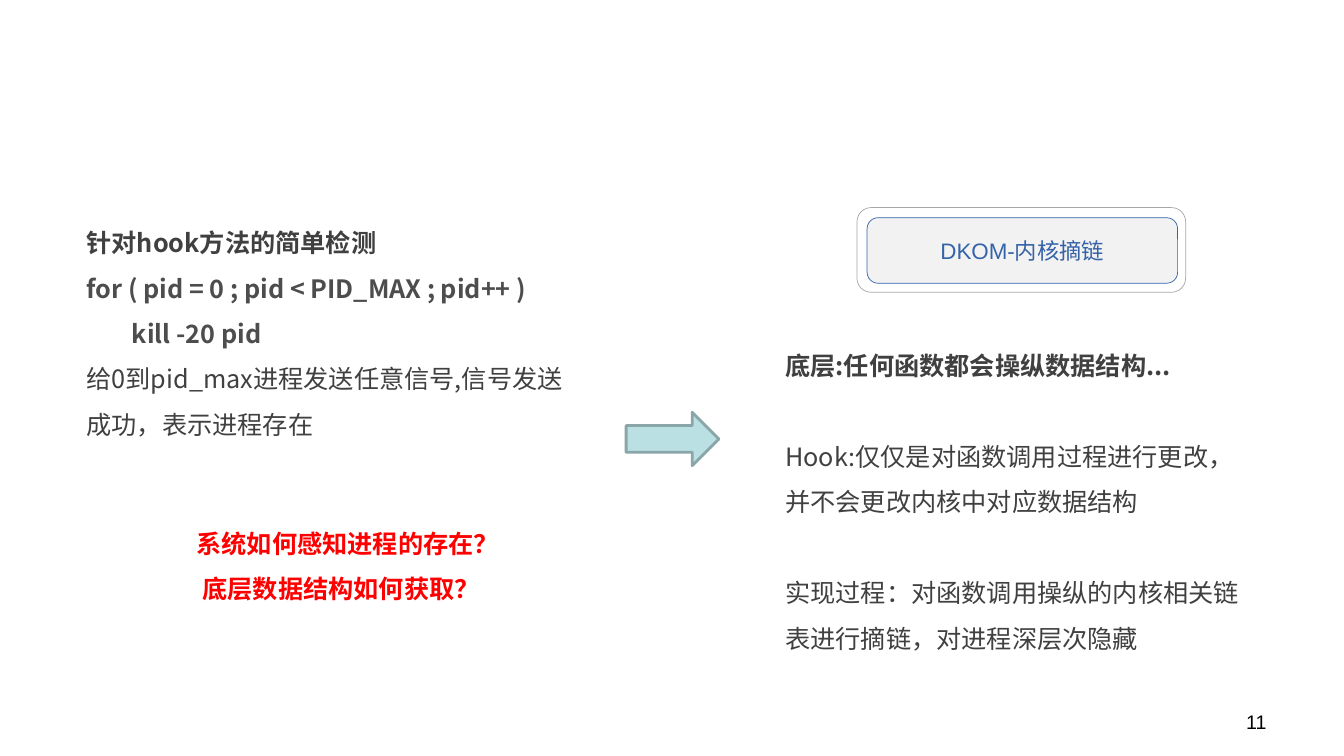
from pptx import Presentation
from pptx.dml.color import RGBColor
from pptx.enum.shapes import MSO_SHAPE as Shape
from pptx.enum.text import MSO_ANCHOR as Anchor, PP_ALIGN as Align
from pptx.oxml.ns import qn
from pptx.util import Inches, Pt

CJK = "Noto Sans CJK SC"
DARK = "404040"
CODE = "4D4D4D"
RED = "FF0000"
BLUE = "3563A8"


def color(value):
    return RGBColor.from_string(value)


class SlideBuilder:
    def __init__(self, slide):
        self.slide = slide

    def fill_paragraph(self, paragraph, text, size=18, font=CJK, fill=DARK, bold=False):
        paragraph.text = text
        for run in paragraph.runs:
            run.font.size = Pt(size)
            run.font.name = font
            run.font.bold = bold
            run.font.color.rgb = color(fill)
            latin = run._r.rPr.find(qn("a:latin"))
            latin.addnext(latin.makeelement(qn("a:ea"), {"typeface": CJK}))

    def text(self, left, top, width, height, lines, spacing=1.5, align=Align.LEFT):
        box = self.slide.shapes.add_textbox(
            Inches(left), Inches(top), Inches(width), Inches(height))
        frame = box.text_frame
        frame.word_wrap = True
        for index, (text, style, indent, before) in enumerate(lines):
            paragraph = frame.add_paragraph() if index else frame.paragraphs[0]
            paragraph.line_spacing = spacing
            paragraph.alignment = align
            paragraph.space_before = Pt(before)
            self.fill_paragraph(paragraph, text, **style)
            if indent:
                paragraph._p.get_or_add_pPr().set("marL", str(Inches(indent)))

    def shape(self, kind, left, top, width, height, line, weight, fill=None):
        shape = self.slide.shapes.add_shape(
            kind, Inches(left), Inches(top), Inches(width), Inches(height))
        shape.shadow.inherit = False
        if fill:
            shape.fill.solid()
            shape.fill.fore_color.rgb = color(fill)
        else:
            shape.fill.background()
        shape.line.color.rgb = color(line)
        shape.line.width = Pt(weight)
        return shape

    def label(self, shape, text, **style):
        shape.text_frame.vertical_anchor = Anchor.MIDDLE
        paragraph = shape.text_frame.paragraphs[0]
        paragraph.alignment = Align.CENTER
        self.fill_paragraph(paragraph, text, **style)


def main():
    presentation = Presentation()
    presentation.slide_width = Inches(13.33)
    presentation.slide_height = Inches(7.5)
    builder = SlideBuilder(presentation.slides.add_slide(presentation.slide_layouts[6]))

    plain = {}
    strong = {"bold": True}
    code = {"bold": True, "fill": CODE}
    question = {"bold": True, "fill": RED}
    blank_line = 32.4

    builder.text(9.55, 6.99, 3.11, 0.35,
                 [("11", {"size": 14, "font": "Arial", "fill": "000000"}, 0, 0)],
                 spacing=1, align=Align.RIGHT)

    heading = builder.shape(Shape.ROUNDED_RECTANGLE, 8.6, 2.16, 3.08, 0.65,
                            BLUE, 0.5, fill="F2F2F2")
    builder.label(heading, "DKOM-内核摘链", size=16, font="Arial", fill=BLUE)
    builder.shape(Shape.ROUNDED_RECTANGLE, 8.5, 2.06, 3.26, 0.84, "A6A6A6", 0.5)

    builder.text(7.69, 3.28, 4.88, 3.21, [
        ("底层:任何函数都会操纵数据结构...", strong, 0, 0),
        ("Hook:仅仅是对函数调用过程进行更改，并不会更改内核中对应数据结构", plain, 0, blank_line),
        ("实现过程：对函数调用操纵的内核相关链表进行摘链，对进程深层次隐藏", plain, 0, blank_line),
    ])
    builder.text(0.76, 2.06, 5.16, 2.3, [
        ("针对hook方法的简单检测", strong, 0, 0),
        ("for ( pid = 0 ; pid < PID_MAX ; pid++ )", code, 0, 0),
        ("kill -20 pid", code, 0.45, 0),
        ("给0到pid_max进程发送任意信号,信号发送成功，表示进程存在", plain, 0, 0),
    ])
    builder.shape(Shape.RIGHT_ARROW, 6.21, 4.09, 0.92, 0.53, "8AA6A8", 2, fill="BBE0E3")
    builder.text(1.85, 5.04, 3.58, 0.95, [
        ("系统如何感知进程的存在？", question, 0, 0),
        ("底层数据结构如何获取？", question, 0.06, 0),
    ])

    presentation.save("out.pptx")


if __name__ == "__main__":
    main()
